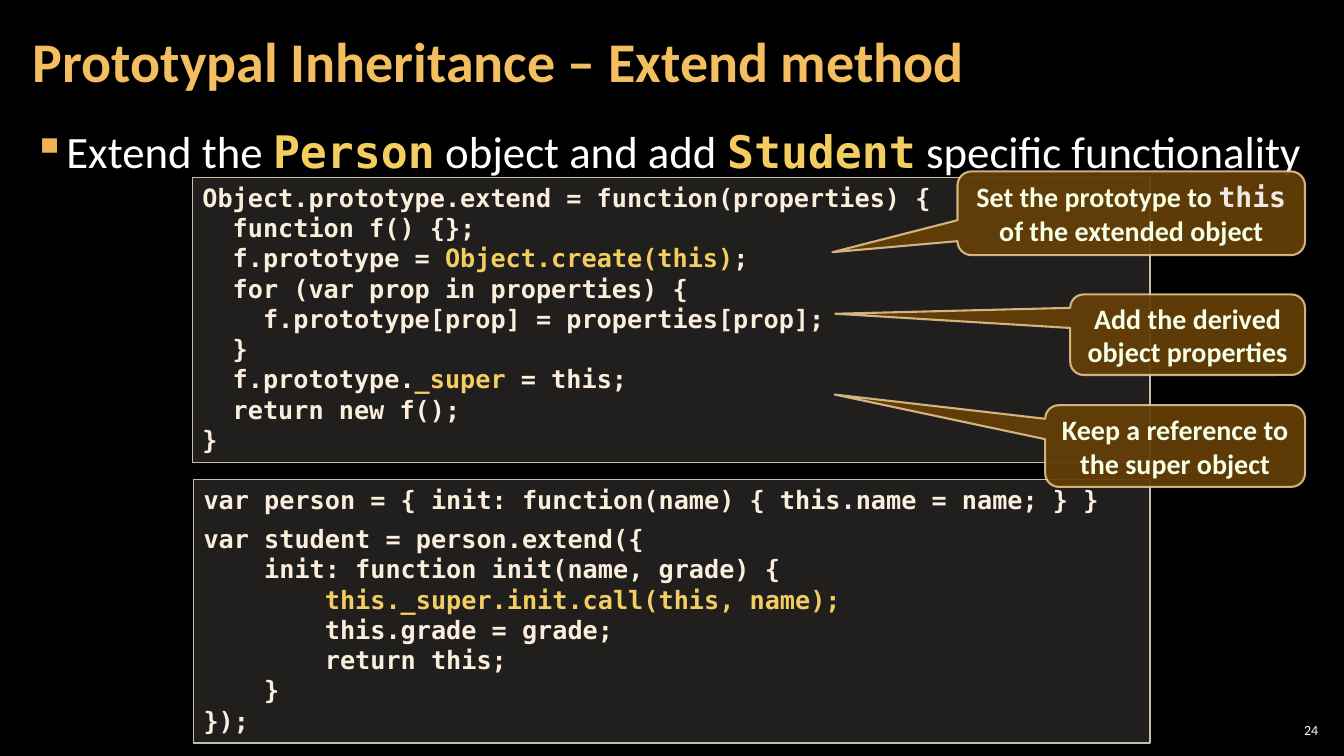
from lxml import etree
from pptx import Presentation
from pptx import util as u
from pptx.dml.color import RGBColor
from pptx.enum import shapes, text
from pptx.oxml import ns

COLORS = {
    "background": "000000", "white": "FFFFFF", "title": "F3BE60",
    "bullet": "F2B254", "accent": "F3CD60", "code": "FBEEDC",
    "panel": "D9D5C7", "panel_line": "C7BFAC",
    "callout": "643F07", "callout_line": "F8D49E",
    "callout_text": "F7FFE7", "callout_code": "ECEAE3",
}
SANS, MONO = "Calibri", "DejaVu Sans Mono"

EXTEND_CODE = """Object.prototype.extend = function(properties) {
  function f() {};
  f.prototype = |Object.create(this)|;
  for (var prop in properties) {
    f.prototype[prop] = properties[prop];
  }
  f.prototype.|_super| = this;
  return new f();
}"""

STUDENT_CODE = """var person = { init: function(name) { this.name = name; } }
var student = person.extend({
    init: function init(name, grade) {
        |this._super.init.call(this, name);|
        this.grade = grade;
        return this;
    }
});"""

CALLOUTS = [
    ((24.13, 4.32, 8.76, 2.11), (-0.86, 0.465),
     "Set the prototype to |this| of the extended object"),
    ((26.97, 7.42, 5.92, 2.03), (-1.5, -0.26),
     "Add the derived object properties"),
    ((26.34, 10.21, 6.55, 2.06), (-1.31, -0.63),
     "Keep a reference to the super object"),
]


def rgb(name):
    return RGBColor.from_string(COLORS[name])


def lengths(box):
    return [u.Cm(value) for value in box]


def set_font(font, name=None, size=None, color=None, bold=None):
    if name:
        font.name = name
    if size:
        font.size = u.Pt(size)
    if color:
        font.color.rgb = rgb(color)
    if bold is not None:
        font.bold = bold


def write_marked(paragraph, content, plain, marked):
    pieces = content.split("|")
    for index, piece in enumerate(pieces):
        if piece:
            run = paragraph.add_run()
            run.text = piece
            if len(pieces) > 1:
                set_font(run.font, **(marked if index % 2 else plain))
    if len(pieces) == 1:
        set_font(paragraph.font, **plain)


def set_alpha(color_format, percent):
    color = color_format._xFill.find(ns.qn("a:srgbClr"))
    etree.SubElement(color, ns.qn("a:alpha"), val=str(percent * 1000))


def style_shape(shape, fill, fill_alpha, line, width):
    shape.shadow.inherit = False
    shape.fill.solid()
    shape.fill.fore_color.rgb = rgb(fill)
    set_alpha(shape.fill.fore_color, fill_alpha)
    shape.line.color.rgb = rgb(line)
    shape.line.width = u.Pt(width)


def add_text_frame(slide, box, sides):
    frame = slide.shapes.add_textbox(*lengths(box)).text_frame
    frame.word_wrap = True
    frame.margin_left = frame.margin_right = u.Cm(sides)
    frame.margin_top = frame.margin_bottom = u.Cm(0.1)
    return frame


def add_title(slide, box):
    frame = add_text_frame(slide, box, 0.3)
    frame.vertical_anchor = text.MSO_ANCHOR.MIDDLE
    paragraph = frame.paragraphs[0]
    paragraph.text = "Prototypal Inheritance – Extend method"
    paragraph.line_spacing = 0.9
    set_font(paragraph.font, SANS, 40, "title", True)


def add_body(slide, box):
    paragraph = add_text_frame(slide, box, 0.3).paragraphs[0]
    properties = paragraph._p.get_or_add_pPr()
    properties.set("marL", str(u.Cm(0.84)))
    properties.set("indent", str(u.Cm(-0.84)))
    bullet_color = etree.SubElement(properties, ns.qn("a:buClr"))
    etree.SubElement(bullet_color, ns.qn("a:srgbClr"), val=COLORS["bullet"])
    etree.SubElement(properties, ns.qn("a:buChar"), char="▪")
    paragraph.line_spacing = 1.05
    paragraph.space_after = u.Pt(6)
    set_font(paragraph.font, size=32)
    write_marked(paragraph,
                 "Extend the |Person| object and add |Student| specific functionality",
                 dict(name=SANS, color="white", bold=False),
                 dict(name=MONO, color="accent", bold=True))


def add_page_number(slide, box):
    frame = add_text_frame(slide, box, 0.1)
    frame.vertical_anchor = text.MSO_ANCHOR.MIDDLE
    paragraph = frame.paragraphs[0]
    paragraph.text = "24"
    paragraph.alignment = text.PP_ALIGN.RIGHT
    set_font(paragraph.font, SANS, 10, "white")


def add_code_panel(slide, box, code, spaced_line=None):
    panel = slide.shapes.add_shape(shapes.MSO_SHAPE.RECTANGLE, *lengths(box))
    style_shape(panel, "panel", 15, "panel_line", 1)
    frame = panel.text_frame
    frame.word_wrap = True
    frame.auto_size = text.MSO_AUTO_SIZE.SHAPE_TO_FIT_TEXT
    frame.vertical_anchor = text.MSO_ANCHOR.TOP
    for index, line in enumerate(code.split("\n")):
        paragraph = frame.add_paragraph() if index else frame.paragraphs[0]
        paragraph.alignment = text.PP_ALIGN.LEFT
        if index == spaced_line:
            paragraph.space_before = u.Pt(6)
        set_font(paragraph.font, MONO, 18, bold=True)
        write_marked(paragraph, line, dict(color="code"), dict(color="accent"))


def add_callout(slide, box, pointer, content):
    callout = slide.shapes.add_shape(
        shapes.MSO_SHAPE.ROUNDED_RECTANGULAR_CALLOUT, *lengths(box))
    for index, value in enumerate((*pointer, 0.167)):
        callout.adjustments[index] = value
    style_shape(callout, "callout", 95, "callout_line", 1.5)
    set_alpha(callout.line.fill.fore_color, 80)
    frame = callout.text_frame
    frame.word_wrap = True
    frame.vertical_anchor = text.MSO_ANCHOR.MIDDLE
    paragraph = frame.paragraphs[0]
    paragraph.alignment = text.PP_ALIGN.CENTER
    set_font(paragraph.font, size=20, bold=True)
    write_marked(paragraph, content,
                 dict(name=SANS, color="callout_text"),
                 dict(name=MONO, color="callout_code"))


def main():
    presentation = Presentation()
    presentation.slide_width = u.Cm(33.87)
    presentation.slide_height = u.Cm(19.05)
    slide = presentation.slides.add_slide(presentation.slide_layouts[6])
    slide.background.fill.solid()
    slide.background.fill.fore_color.rgb = rgb("background")

    add_page_number(slide, (32.13, 18.14, 1.19, 0.53))
    add_body(slide, (0.53, 2.95, 32.8, 15.47))
    add_title(slide, (0.53, 0.1, 26.6, 3.07))
    add_code_panel(slide, (4.88, 12.09, 24.1, 6.63), STUDENT_CODE, spaced_line=1)
    add_code_panel(slide, (4.85, 4.47, 24.13, 7.19), EXTEND_CODE)
    for box, pointer, content in CALLOUTS:
        add_callout(slide, box, pointer, content)

    presentation.save("out.pptx")


if __name__ == "__main__":
    main()
